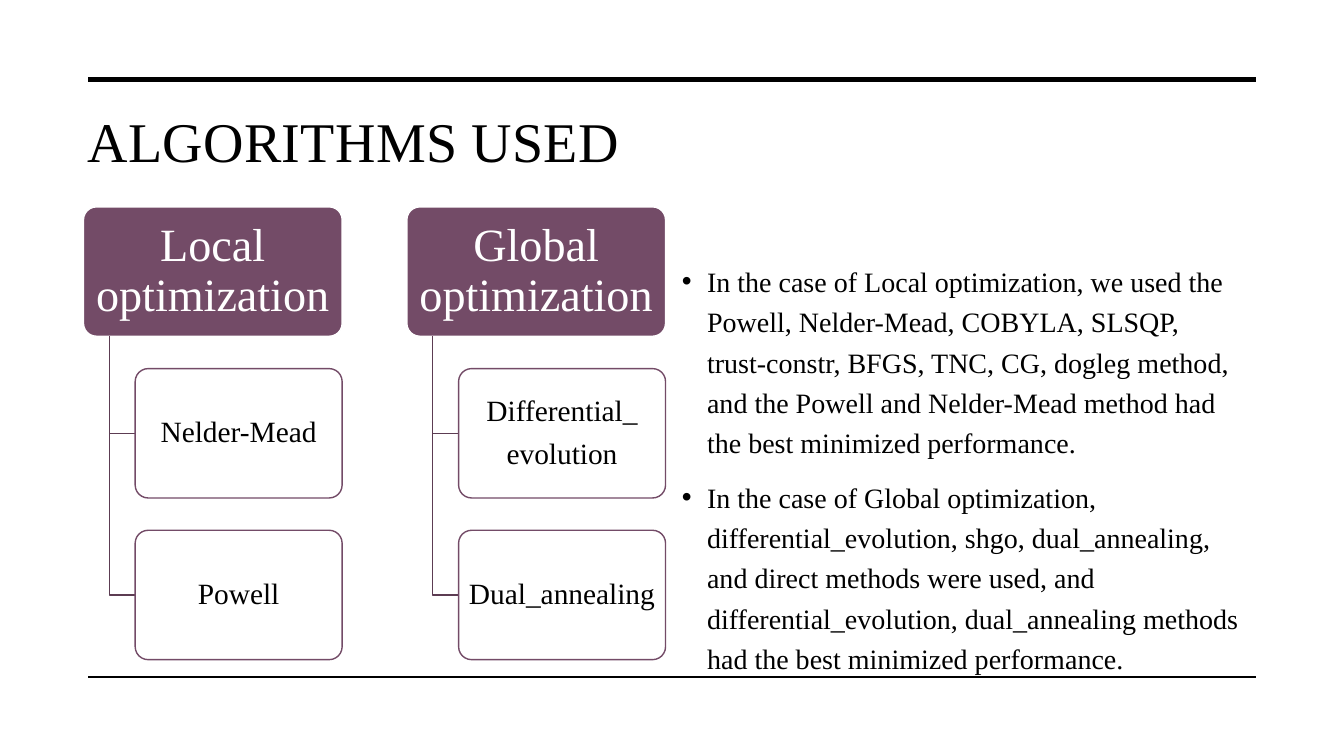
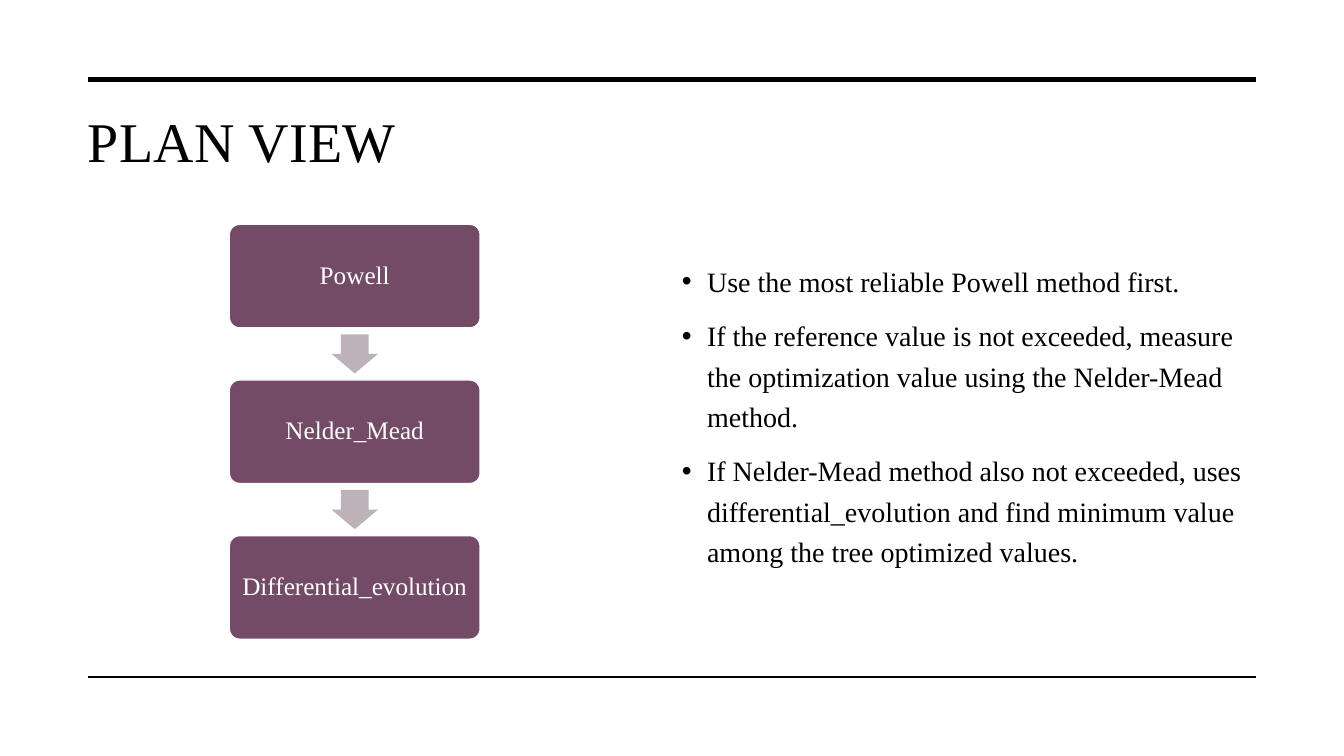
from lxml.etree import SubElement
from pptx import Presentation
from pptx.dml.color import RGBColor
from pptx.enum.shapes import MSO_CONNECTOR, MSO_SHAPE
from pptx.enum.text import MSO_ANCHOR, PP_ALIGN
from pptx.oxml.ns import qn
from pptx.util import Pt

BLACK = RGBColor(0, 0, 0)
WHITE = RGBColor(255, 255, 255)
PLUM = RGBColor(0x73, 0x4B, 0x67)
DARK = RGBColor(0x5C, 0x3C, 0x52)
PALE = RGBColor(0xBC, 0xB2, 0xB8)
FACE = "Times New Roman"
RULES = [(57, 3.5), (483.6, 1)]


def style(par, size, color, lead):
    par.line_spacing = lead
    par.font.name = FACE
    par.font.size = Pt(size)
    par.font.color.rgb = color


def card(slide, left, top, width, height, text, size, fill, edge, ink):
    box = slide.shapes.add_shape(
        MSO_SHAPE.ROUNDED_RECTANGLE, Pt(left), Pt(top), Pt(width), Pt(height))
    box.shadow.inherit = False
    box.adjustments[0] = 0.1
    box.fill.solid()
    box.fill.fore_color.rgb = fill
    box.line.color.rgb = edge
    box.line.width = Pt(1)
    frame = box.text_frame
    frame.word_wrap = True
    frame.vertical_anchor = MSO_ANCHOR.MIDDLE
    frame.margin_left = frame.margin_right = Pt(4)
    frame.margin_top = frame.margin_bottom = Pt(3)
    frame.text = text
    for i, par in enumerate(frame.paragraphs):
        par.alignment = PP_ALIGN.CENTER
        style(par, size, ink, 0.9)
        if i:
            par.space_before = Pt(8)


deck = Presentation()
deck.slide_width, deck.slide_height = Pt(960), Pt(540)

pages = [
    ("ALGORITHMS USED", [
        "In the case of Local optimization, we used the Powell, Nelder-Mead, COBYLA, SLSQP, "
        "trust-constr, BFGS, TNC, CG, dogleg method, and the Powell and Nelder-Mead method had "
        "the best minimized performance.",
        "In the case of Global optimization, differential_evolution, shgo, dual_annealing, and "
        "direct methods were used, and differential_evolution, dual_annealing methods had the "
        "best minimized performance.",
    ]),
    ("PLAN VIEW", [
        "Use the most reliable Powell method first.",
        "If the reference value is not exceeded, measure the optimization value using the "
        "Nelder-Mead method.",
        "If Nelder-Mead method also not exceeded, uses differential_evolution and find minimum "
        "value among the tree optimized values.",
    ]),
]

for title, points in pages:
    slide = deck.slides.add_slide(deck.slide_layouts[6])
    for y, weight in RULES:
        rule = slide.shapes.add_connector(
            MSO_CONNECTOR.STRAIGHT, Pt(63), Pt(y), Pt(897), Pt(y))
        rule.line.color.rgb = BLACK
        rule.line.width = Pt(weight)
        SubElement(rule._element.spPr, qn("a:effectLst"))

    head = slide.shapes.add_textbox(Pt(55.6), Pt(72.6), Pt(841.4), Pt(108)).text_frame
    head.word_wrap = True
    head.text = title
    style(head.paragraphs[0], 40, BLACK, 1.0)
    head.paragraphs[0].runs[0]._r.get_or_add_rPr().set("spc", "25")

    body = slide.shapes.add_textbox(Pt(480), Pt(180.6), Pt(415), Pt(258)).text_frame
    body.word_wrap = True
    body.text = "\n".join(points)
    for i, par in enumerate(body.paragraphs):
        props = par._p.get_or_add_pPr()
        props.set("marL", str(Pt(18)))
        props.set("indent", str(Pt(-18)))
        SubElement(props, qn("a:buFont")).set("typeface", "Arial")
        SubElement(props, qn("a:buChar")).set("char", "•")
        style(par, 20, BLACK, 1.2)
        if i:
            par.space_before = Pt(10)

first, second = deck.slides

groups = [
    ("Local optimization", ["Nelder-Mead", "Powell"]),
    ("Global optimization", ["Differential_\nevolution", "Dual_annealing"]),
]
wide, high, top = 184.8, 92.4, 147.8
for col, (name, kids) in enumerate(groups):
    left = 59.6 + col * wide * 1.25
    card(first, left, top, wide, high, name, 33, PLUM, WHITE, WHITE)
    trunk, inner = left + wide * 0.1, left + wide * 0.2
    for row, kid in enumerate(kids, 1):
        y = top + row * high * 1.25
        mid = y + high / 2
        path = first.shapes.build_freeform(Pt(trunk), Pt(top + high))
        path.add_line_segments([(Pt(trunk), Pt(mid)), (Pt(inner), Pt(mid))], close=False)
        branch = path.convert_to_shape()
        branch.shadow.inherit = False
        branch.fill.background()
        branch.line.color.rgb = DARK
        branch.line.width = Pt(1)
        card(first, inner, y, wide * 0.8, high, kid, 21, WHITE, PLUM, BLACK)

steps = ["Powell", "Nelder_Mead", "Differential_evolution"]
left, top, wide, high, gap = 163.8, 160.2, 179.2, 74, 37.2
tip, tall = 33.2, 28
for i, name in enumerate(steps):
    y = top + i * (high + gap)
    if i:
        arrow = second.shapes.add_shape(
            MSO_SHAPE.DOWN_ARROW, Pt(left + (wide - tip) / 2),
            Pt(y - (gap + tall) / 2), Pt(tip), Pt(tall))
        arrow.shadow.inherit = False
        arrow.adjustments[0] = 0.6
        arrow.adjustments[1] = 0.5
        arrow.fill.solid()
        arrow.fill.fore_color.rgb = PALE
        arrow.line.fill.background()
    card(second, left, y, wide, high, name, 18, PLUM, WHITE, WHITE)

deck.save("out.pptx")
